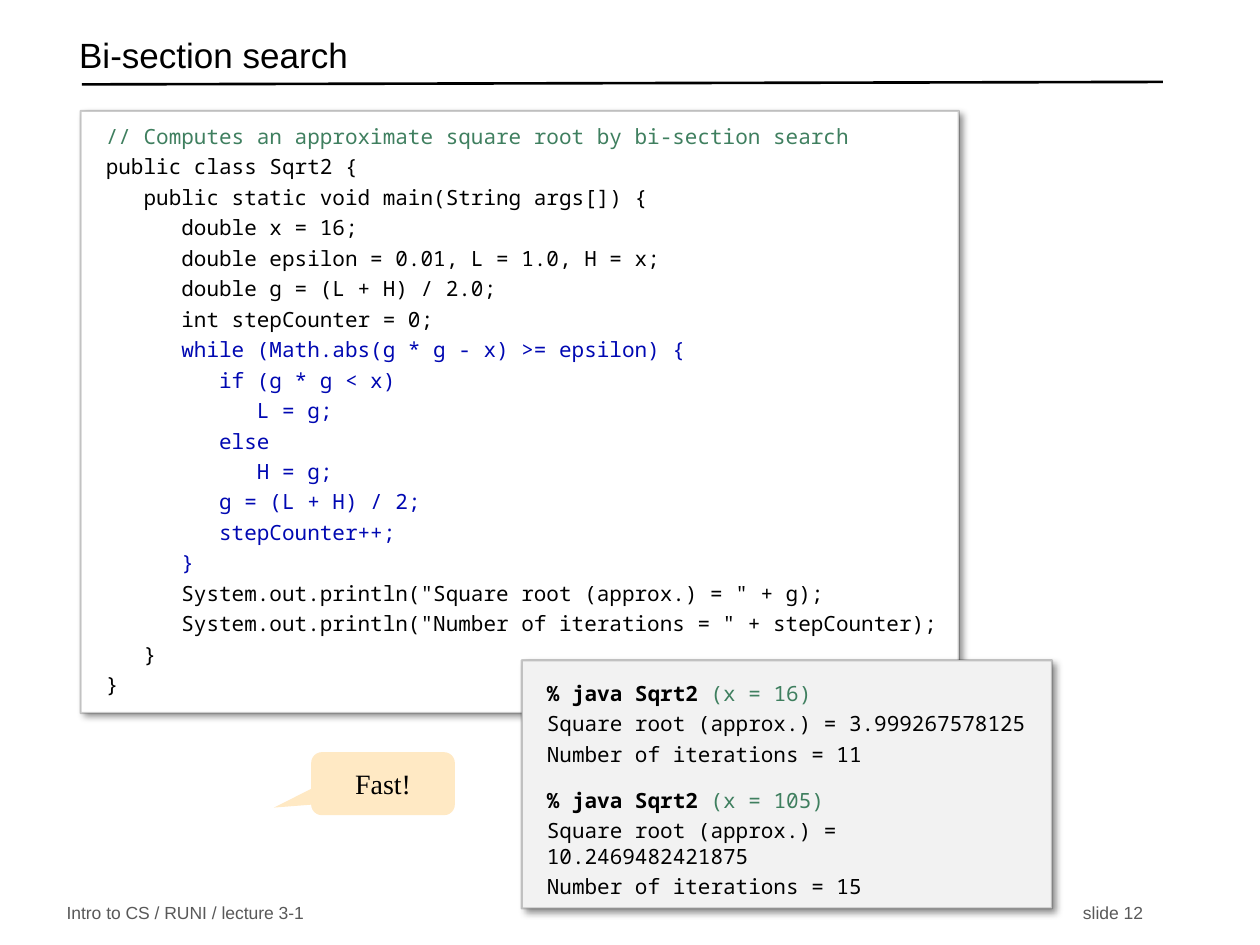
from lxml import etree
from pptx import Presentation
from pptx.dml.color import RGBColor
from pptx.enum.shapes import MSO_CONNECTOR, MSO_SHAPE
from pptx.enum.text import MSO_ANCHOR, PP_ALIGN
from pptx.oxml import parse_xml
from pptx.oxml.ns import nsdecls, qn
from pptx.util import Inches, Pt

RECT = MSO_SHAPE.RECTANGLE
CALLOUT = MSO_SHAPE.ROUNDED_RECTANGULAR_CALLOUT
STRAIGHT = MSO_CONNECTOR.STRAIGHT
TOP, MIDDLE = MSO_ANCHOR.TOP, MSO_ANCHOR.MIDDLE
LEFT, CENTER, RIGHT = PP_ALIGN.LEFT, PP_ALIGN.CENTER, PP_ALIGN.RIGHT

MONO = "Noto Sans Mono"
BLACK, GREEN, BLUE, GRAY = "000000", "3F7F5F", "0008B2", "595959"


def rgb(value):
    return RGBColor.from_string(value)


def write(shape, paragraphs, font="Arial", size=12, align=LEFT, anchor=TOP,
          margins=(0.1, 0.05, 0.1, 0.05), line_spacing=None):
    """Fill shape with paragraphs given as (space before, [(text, colour, bold), ...])."""
    frame = shape.text_frame
    frame.word_wrap = True
    frame.vertical_anchor = anchor
    (frame.margin_left, frame.margin_top,
     frame.margin_right, frame.margin_bottom) = map(Inches, margins)
    for index, (space, runs) in enumerate(paragraphs):
        paragraph = frame.paragraphs[0] if index == 0 else frame.add_paragraph()
        paragraph.alignment = align
        paragraph.space_before = Pt(space)
        if line_spacing:
            paragraph.line_spacing = line_spacing
        for text, color, bold in runs:
            run = paragraph.add_run()
            run.text = text
            run.font.name, run.font.size, run.font.bold = font, Pt(size), bold
            run.font.color.rgb = rgb(color)


prs = Presentation()
prs.slide_width, prs.slide_height = Inches(10), Inches(7.5)
slide = prs.slides.add_slide(prs.slide_layouts[6])
shapes = slide.shapes

# Title, rule and footer
rule = shapes.add_connector(STRAIGHT, Inches(0.65), Inches(0.67), Inches(9.23), Inches(0.65))
rule.line.color.rgb = rgb(BLACK)
rule.line.width = Pt(1.5)
etree.SubElement(rule._element.spPr, qn("a:effectLst"))

title = shapes.add_textbox(Inches(0.53), Inches(0.22), Inches(8.6), Inches(0.5))
write(title, [(0, [("Bi-section search", BLACK, False)])], size=20, anchor=MIDDLE,
      line_spacing=0.7)

for left, width, text, align in [
    (0.43, 4, "Intro to CS / RUNI / lecture 3-1", LEFT),
    (7.17, 2, "slide 12", RIGHT),
]:
    footer = shapes.add_textbox(Inches(left), Inches(7.14), Inches(width), Inches(0.21))
    write(footer, [(0, [(text, GRAY, False)])], size=10, align=align, anchor=MIDDLE)

# Program and its output
program = [
    (GREEN, """\
// Computes an approximate square root by bi-section search"""),
    (BLACK, """\
public class Sqrt2 {
   public static void main(String args[]) {
      double x = 16;
      double epsilon = 0.01, L = 1.0, H = x;
      double g = (L + H) / 2.0;
      int stepCounter = 0;"""),
    (BLUE, """\
      while (Math.abs(g * g - x) >= epsilon) {
         if (g * g < x)
            L = g;
         else
            H = g;
         g = (L + H) / 2;
         stepCounter++;
      }"""),
    (BLACK, """\
      System.out.println("Square root (approx.) = " + g);
      System.out.println("Number of iterations = " + stepCounter);
   }
}"""),
]
code_lines = [(3, [(line, color, False)])
              for color, block in program for line in block.split("\n")]
code_lines[0] = (0, code_lines[0][1])

output_lines = []
for x, root, steps in [("16", "3.999267578125", 11), ("105", "10.2469482421875", 15)]:
    output_lines += [
        (12 if output_lines else 0,
         [("% java Sqrt2 ", BLACK, True), (f"(x = {x})", GREEN, False)]),
        (3, [(f"Square root (approx.) = {root}", BLACK, False)]),
        (3, [(f"Number of iterations = {steps}", BLACK, False)]),
    ]

for box, fill, margins, lines in [
    ((0.64, 0.88, 6.97, 4.78), "FFFFFF", (0.2, 0.1, 0, 0.1), code_lines),
    ((4.14, 5.24, 4.21, 1.97), "F2F2F2", (0.2, 0.16, 0.2, 0), output_lines),
]:
    panel = shapes.add_shape(RECT, *map(Inches, box))
    panel.fill.solid()
    panel.fill.fore_color.rgb = rgb(fill)
    panel.line.color.rgb = rgb(BLACK)
    panel.line.width = Pt(1.25)
    line_color = panel.line._ln.find(".//" + qn("a:srgbClr"))
    etree.SubElement(line_color, qn("a:alpha"), val="20000")
    panel._element.spPr.append(parse_xml(
        f'<a:effectLst {nsdecls("a")}>'
        f'<a:outerShdw blurRad="{Pt(4)}" dist="{Pt(3)}" dir="2700000" algn="tl" rotWithShape="0">'
        '<a:srgbClr val="000000"><a:alpha val="43000"/></a:srgbClr>'
        '</a:outerShdw></a:effectLst>'))
    write(panel, lines, font=MONO, margins=margins)

# Remark
remark = shapes.add_shape(CALLOUT, Inches(2.47), Inches(5.97), Inches(1.14), Inches(0.5))
remark.shadow.inherit = False
for index, value in enumerate((-0.76, 0.38, 0.17)):
    remark.adjustments[index] = value
remark.fill.solid()
remark.fill.fore_color.rgb = rgb("FFE9C4")
remark.line.fill.background()
write(remark, [(0, [("Fast!", BLACK, False)])], font="Times New Roman", size=16,
      align=CENTER, anchor=MIDDLE)

prs.save("out.pptx")
